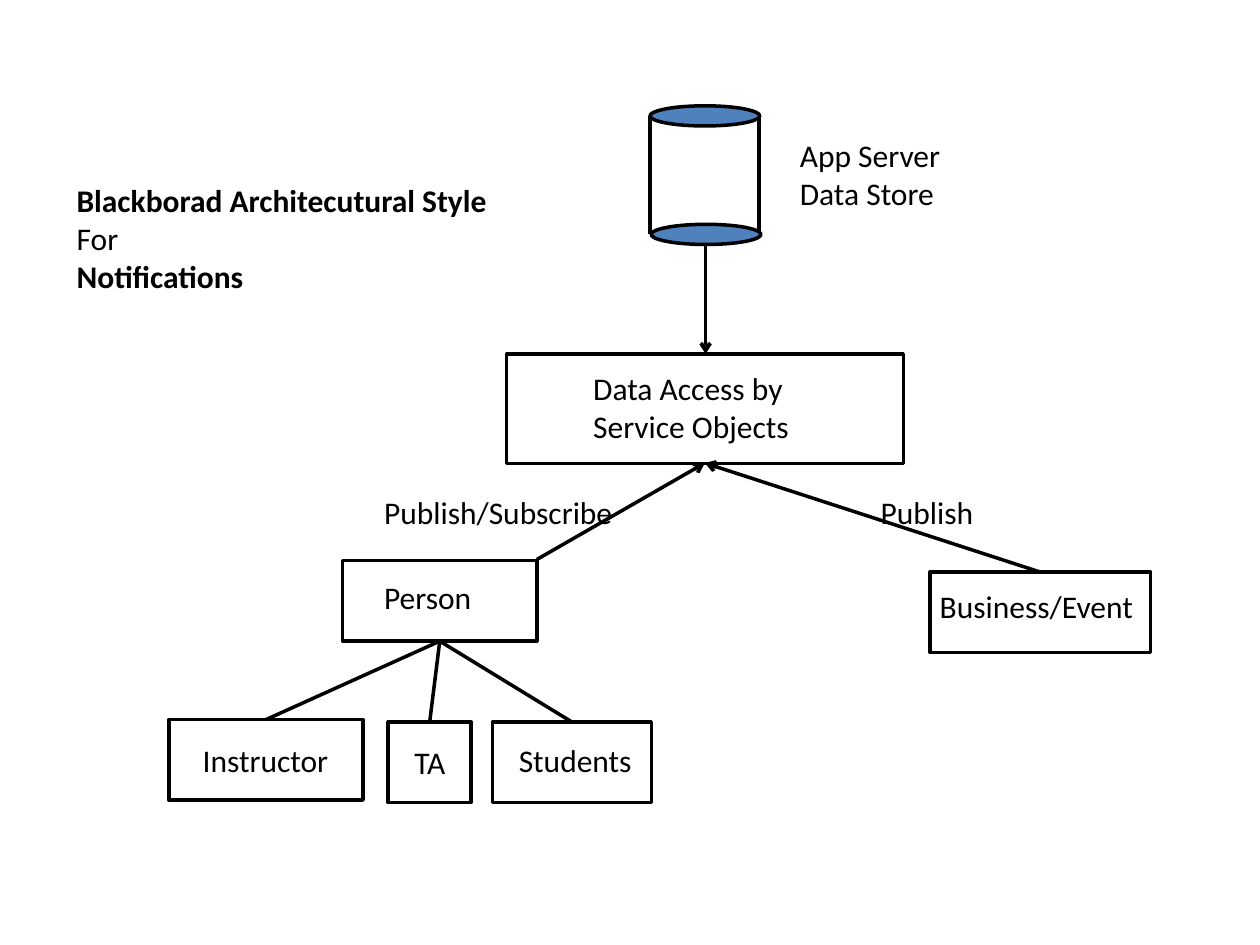
from lxml.etree import SubElement
from pptx import Presentation
from pptx.dml.color import RGBColor
from pptx.enum.shapes import MSO_CONNECTOR, MSO_SHAPE
from pptx.enum.text import MSO_AUTO_SIZE
from pptx.oxml.ns import qn
from pptx.util import Pt


def color(code):
    return RGBColor.from_string(code)


class Sketch:
    """Draws boxes, drums, lines and labels in one style on one slide."""

    font, size, ink, blue, width = "Calibri", 18, "000000", "4F81BD", 2

    def __init__(self, slide):
        self.slide = slide

    def stroke(self, line):
        line.color.rgb = color(self.ink)
        line.width = Pt(self.width)

    def shape(self, kind, place, fill=None):
        item = self.slide.shapes.add_shape(kind, *map(Pt, place))
        item.shadow.inherit = False
        if fill:
            item.fill.solid()
            item.fill.fore_color.rgb = color(fill)
        else:
            item.fill.background()
        self.stroke(item.line)

    def box(self, *place):
        self.shape(MSO_SHAPE.RECTANGLE, place)

    def disc(self, *place):
        self.shape(MSO_SHAPE.OVAL, place, self.blue)

    def line(self, start, end, arrow=False):
        item = self.slide.shapes.add_connector(
            MSO_CONNECTOR.STRAIGHT, *map(Pt, (*start, *end)))
        self.stroke(item.line)
        props = item._element.spPr
        if arrow:
            SubElement(props.find(qn("a:ln")), qn("a:tailEnd"), type="arrow")
        SubElement(props, qn("a:effectLst"))

    def label(self, place, *lines, wrap=False, bold=()):
        frame = self.slide.shapes.add_textbox(*map(Pt, place)).text_frame
        frame.word_wrap = wrap
        frame.auto_size = MSO_AUTO_SIZE.SHAPE_TO_FIT_TEXT
        for index, text in enumerate(lines):
            para = frame.add_paragraph() if index else frame.paragraphs[0]
            run = para.add_run()
            run.text = text
            run.font.name = self.font
            run.font.size = Pt(self.size)
            run.font.bold = index in bold
            run.font.color.rgb = color(self.ink)


def main():
    deck = Presentation()
    deck.slide_width, deck.slide_height = Pt(720), Pt(540)
    art = Sketch(deck.slides.add_slide(deck.slide_layouts[6]))

    art.disc(371.5, 60.5, 62.6, 11.5)
    for x, top in ((371.5, 66.2), (433.6, 67)):
        art.line((x, top), (x, top + 67.7))
    art.disc(372.2, 128.2, 62.6, 11.5)
    art.label((450, 74.2, 108, 51), "App Server Data Store", wrap=True)

    art.line((403.2, 139.7), (403.2, 202.3), arrow=True)
    art.box(289.4, 202.3, 226.8, 62.6)
    art.label((331.9, 207.4, 141, 51), "Data Access by Service Objects", wrap=True)

    height = 46
    nodes = (
        ("Person", 195.8, 320.4, 111, 212.4, 326.9, 64.8),
        ("Instructor", 96.5, 411.2, 111, 108.7, 419.8, 87),
        ("TA", 221.8, 412.6, 47.5, 229.7, 421.2, 32.4),
        ("Students", 281.5, 412.6, 90.7, 289.4, 419.8, 80),
        ("Business/Event", 531.4, 326.9, 126, 529.9, 331.9, 126),
    )
    for name, left, top, wide, x, y, span in nodes:
        art.box(left, top, wide, height)
        art.label((x, y, span, 29), name)

    hub = (251.3, 366.4)
    for name, left, top, wide, *rest in nodes[1:4]:
        art.line((left + wide / 2, top), hub)

    for start in ((306.8, 319.7), (594.4, 326.9)):
        art.line(start, (402.8, 264.6), arrow=True)
    art.label((212.4, 277.9, 146, 29), "Publish/Subscribe")
    art.label((496.1, 277.9, 68.4, 29), "Publish")

    art.label((36.7, 100, 278, 72.7), "Blackborad Architecutural Style",
              "For", "Notifications", wrap=True, bold=(0, 2))
    deck.save("out.pptx")


if __name__ == "__main__":
    main()
